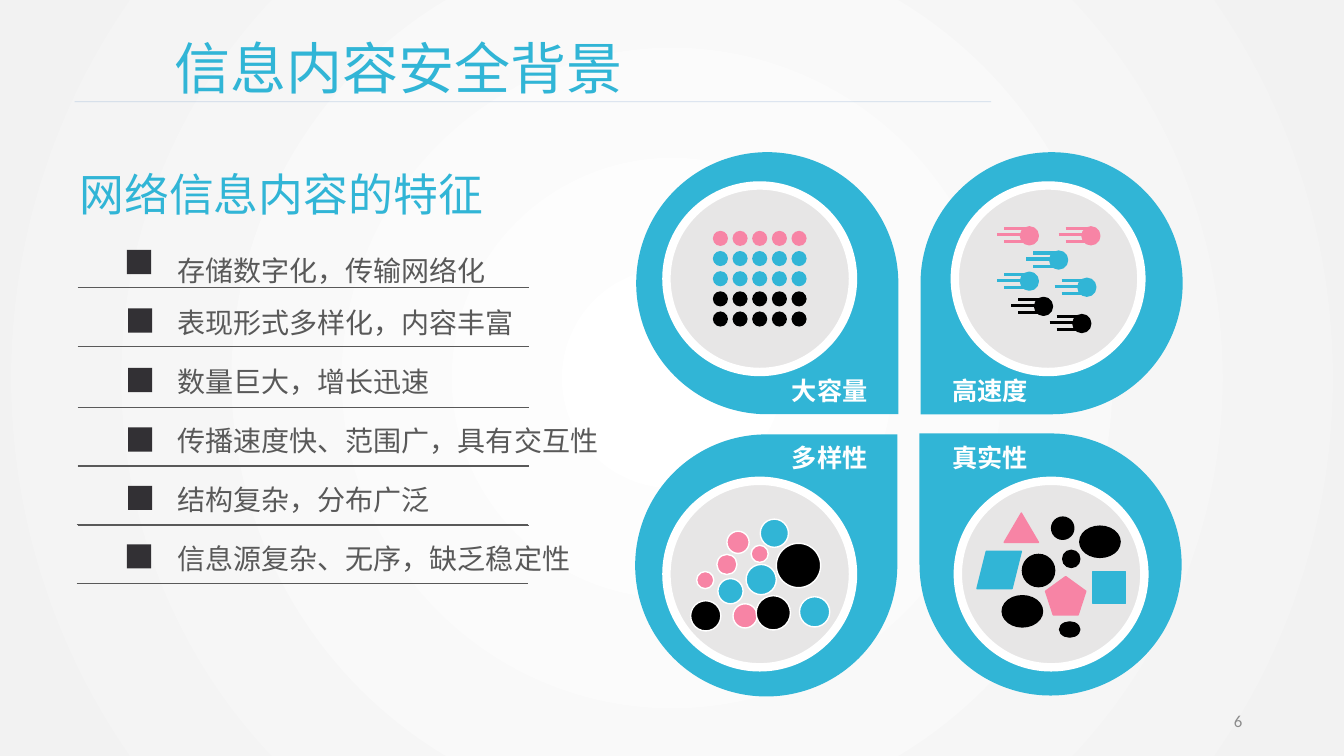
from dataclasses import dataclass

from lxml import etree
from pptx import Presentation, util as u
from pptx.dml.color import RGBColor
from pptx.enum import shapes as s, text as t
from pptx.oxml import ns, parse_xml

INK = {"blue": "31B5D6", "pink": "F784A5", "black": "000000", "white": "FFFFFF",
       "dish": "E7E6E6", "gray": "595959", "mark": "323034", "rule": "4A7EBB",
       "page": "8C8C8C", "edge": "F2F2F2"}
FACE = "Noto Sans CJK SC"
KIND = s.MSO_SHAPE


@dataclass
class Petal:
    x: float
    y: float
    turn: int
    label: str
    textx: float
    texty: float
    dishx: float
    dishy: float


@dataclass
class Dart:
    x: float
    y: float
    ink: str


@dataclass
class Piece:
    x: float
    y: float
    w: float
    h: float
    ink: str
    kind: s.MSO_SHAPE = KIND.OVAL


PETALS = [
    Petal(6.31, 1.51, 90, "大容量", 7.75, 3.67, 6.61, 1.84),
    Petal(9.13, 1.51, 180, "高速度", 9.34, 3.67, 9.47, 1.84),
    Petal(9.12, 4.3, 270, "真实性", 9.34, 4.34, 9.5, 4.77),
    Petal(6.3, 4.31, 0, "多样性", 7.75, 4.34, 6.61, 4.77),
]
DOTS = ["pink", "blue", "blue", "black", "black"]
DARTS = [
    Dart(10.13, 2.26, "pink"), Dart(10.74, 2.26, "pink"),
    Dart(10.42, 2.5, "blue"), Dart(10.13, 2.71, "blue"),
    Dart(10.27, 2.96, "black"), Dart(10.7, 2.77, "blue"),
    Dart(10.65, 3.13, "black"),
]
BALLS = [
    Piece(7.7, 5.39, 0.44, 0.44, "black"), Piece(7.54, 5.15, 0.28, 0.28, "blue"),
    Piece(7.4, 5.6, 0.3, 0.3, "blue"), Piece(7.45, 5.41, 0.17, 0.17, "pink"),
    Piece(7.11, 5.5, 0.2, 0.2, "pink"), Piece(6.91, 5.67, 0.17, 0.17, "pink"),
    Piece(7.12, 5.74, 0.25, 0.25, "blue"), Piece(7.93, 5.92, 0.3, 0.3, "blue"),
    Piece(7.27, 5.99, 0.24, 0.24, "pink"), Piece(6.85, 5.96, 0.3, 0.3, "black"),
    Piece(7.21, 5.27, 0.22, 0.22, "pink"), Piece(7.5, 5.91, 0.34, 0.34, "black"),
]
FORMS = [
    Piece(9.96, 5.09, 0.34, 0.29, "pink", KIND.ISOSCELES_TRIANGLE),
    Piece(10.84, 5.67, 0.32, 0.32, "blue", KIND.RECTANGLE),
    Piece(10.14, 5.5, 0.32, 0.32, "black"), Piece(10.51, 6.17, 0.2, 0.15, "black"),
    Piece(9.69, 5.47, 0.44, 0.37, "blue", KIND.PARALLELOGRAM),
    Piece(10.54, 5.46, 0.17, 0.17, "black"), Piece(10.43, 5.13, 0.22, 0.22, "black"),
    Piece(10.37, 5.72, 0.4, 0.38, "pink", KIND.REGULAR_PENTAGON),
    Piece(10.71, 5.22, 0.4, 0.31, "black"), Piece(9.94, 5.91, 0.4, 0.31, "black"),
]
ITEMS = ["存储数字化，传输网络化", "表现形式多样化，内容丰富", "数量巨大，增长迅速",
         "传播速度快、范围广，具有交互性", "结构复杂，分布广泛", "信息源复杂、无序，缺乏稳定性"]
MARKS = [(1.26, 2.48), (1.27, 3.06), (1.27, 3.65), (1.27, 4.24), (1.27, 4.82), (1.26, 5.4)]
RULES = [(0.77, 2.85), (0.77, 3.44), (0.77, 4.04), (0.77, 4.63),
         (0.77, 4.62), (0.77, 5.21), (0.76, 5.2), (0.76, 5.79)]


def tint(name: str) -> RGBColor:
    return RGBColor.from_string(INK[name])


def draw(slide, part: Piece, edge: str = "", width: float = 1):
    shape = slide.shapes.add_shape(part.kind, *map(u.Inches, (part.x, part.y, part.w, part.h)))
    shape.shadow.inherit = False
    shape.fill.solid()
    shape.fill.fore_color.rgb = tint(part.ink)
    if edge:
        shape.line.color.rgb = tint(edge)
        shape.line.width = u.Pt(width)
    else:
        shape.line.fill.background()
    return shape


def rule(slide, x: float, y: float, end: float, ink: str, width: float = 0.5):
    line = slide.shapes.add_connector(s.MSO_CONNECTOR.STRAIGHT, *map(u.Inches, (x, y, end, y)))
    line.line.color.rgb = tint(ink)
    line.line.width = u.Pt(width)
    etree.SubElement(line._element.spPr, ns.qn("a:effectLst"))
    return line


def style(para, size: float, ink: str, face: str = FACE, bold: bool = False) -> None:
    for run in para.runs:
        font = run.font
        font.size, font.name, font.bold = u.Pt(size), face, bold
        font.color.rgb = tint(ink)
        etree.SubElement(run._r.get_or_add_rPr(), ns.qn("a:ea"), typeface=face)


def place(shape, x: float, y: float, w: float, h: float):
    shape.left, shape.top, shape.width, shape.height = map(u.Inches, (x, y, w, h))
    frame = shape.text_frame
    frame.word_wrap = True
    frame.auto_size = t.MSO_AUTO_SIZE.NONE
    frame.vertical_anchor = t.MSO_ANCHOR.TOP
    return frame


def label(slide, words: str, x: float, y: float, w: float, h: float):
    frame = slide.shapes.add_textbox(*map(u.Inches, (x, y, w, h))).text_frame
    frame.word_wrap = False
    frame.text = words
    return frame


def paint(slide) -> None:
    stops = "".join(f'<a:gs pos="{pos}"><a:srgbClr val="{INK[ink]}"/></a:gs>'
                    for pos, ink in ((0, "white"), (100000, "edge")))
    back = parse_xml(
        f'<p:bg {ns.nsdecls("p", "a")}><p:bgPr><a:gradFill rotWithShape="1"><a:gsLst>{stops}'
        '</a:gsLst><a:path path="circle"><a:fillToRect l="50000" t="50000" r="50000" b="50000"/>'
        '</a:path></a:gradFill><a:effectLst/></p:bgPr></p:bg>')
    slide._element.cSld.insert(0, back)


def wheel(slide) -> None:
    # Petals, labels and dishes
    for petal in PETALS:
        drop = draw(slide, Piece(petal.x, petal.y, 2.6, 2.6, "blue", KIND.TEAR))
        drop.rotation = petal.turn
        para = label(slide, petal.label, petal.textx, petal.texty, 0.96, 0.4).paragraphs[0]
        para.alignment = t.PP_ALIGN.CENTER
        style(para, 18, "white", bold=True)
        draw(slide, Piece(petal.dishx, petal.dishy, 1.85, 1.85, "dish"), "white", 6)
    # Volume: grid of dots
    for row, ink in enumerate(DOTS):
        for col in range(5):
            draw(slide, Piece(7.07 + col * 0.195, 2.29 + row * 0.2, 0.15, 0.15, ink))
    # Speed: balls with trails
    for dart in DARTS:
        draw(slide, Piece(dart.x, dart.y, 0.16, 0.16, dart.ink), dart.ink, 2.25)
        for back, drop in ((0.24, 0.07), (0.17, 0.14), (0.17, 0.01)):
            rule(slide, dart.x - back, dart.y + drop, dart.x + 0.06, dart.ink, 2.25)
    # Variety and veracity
    for ball in BALLS:
        draw(slide, ball, "white")
    for form in FORMS:
        draw(slide, form, form.ink)


def listing(slide, body) -> None:
    for x, y in RULES:
        rule(slide, x, y, x + 4.48, "gray")
    for x, y in MARKS:
        draw(slide, Piece(x, y, 0.24, 0.24, "mark", KIND.RECTANGLE))
    frame = place(body, 1.66, 2.38, 4.95, 3.4)
    frame.text = "\n".join(ITEMS)
    for row, para in enumerate(frame.paragraphs):
        props = para._p.get_or_add_pPr()
        props.set("marL", "0")
        props.set("indent", "0")
        etree.SubElement(props, ns.qn("a:buNone"))
        para.line_spacing = u.Pt(30)
        para.space_before = u.Pt((0, 7)[row] if row < 2 else 12.2)
        style(para, 20, "gray")


def main() -> None:
    deck = Presentation()
    deck.slide_width, deck.slide_height = u.Inches(13.33), u.Inches(7.5)
    slide = deck.slides.add_slide(deck.slide_layouts[1])
    paint(slide)
    wheel(slide)
    listing(slide, slide.placeholders[1])
    # Headings
    frame = place(slide.shapes.title, 1.63, 0.28, 8.5, 0.77)
    frame.text = "信息内容安全背景"
    frame.paragraphs[0].alignment = t.PP_ALIGN.LEFT
    style(frame.paragraphs[0], 40, "blue")
    line = rule(slide, 0.74, 1.01, 9.83, "rule")
    shade = line._element.spPr.find(".//" + ns.qn("a:srgbClr"))
    etree.SubElement(shade, ns.qn("a:alpha"), val="25000")
    head = label(slide, "网络信息内容的特征", 0.69, 1.61, 4.24, 0.64)
    style(head.paragraphs[0], 32, "blue")
    # Page number
    page = label(slide, "6", 9.42, 6.95, 3, 0.4)
    page.word_wrap = True
    page.vertical_anchor = t.MSO_ANCHOR.MIDDLE
    page.paragraphs[0].alignment = t.PP_ALIGN.RIGHT
    style(page.paragraphs[0], 12, "page", "Calibri")
    deck.save("out.pptx")


if __name__ == "__main__":
    main()
